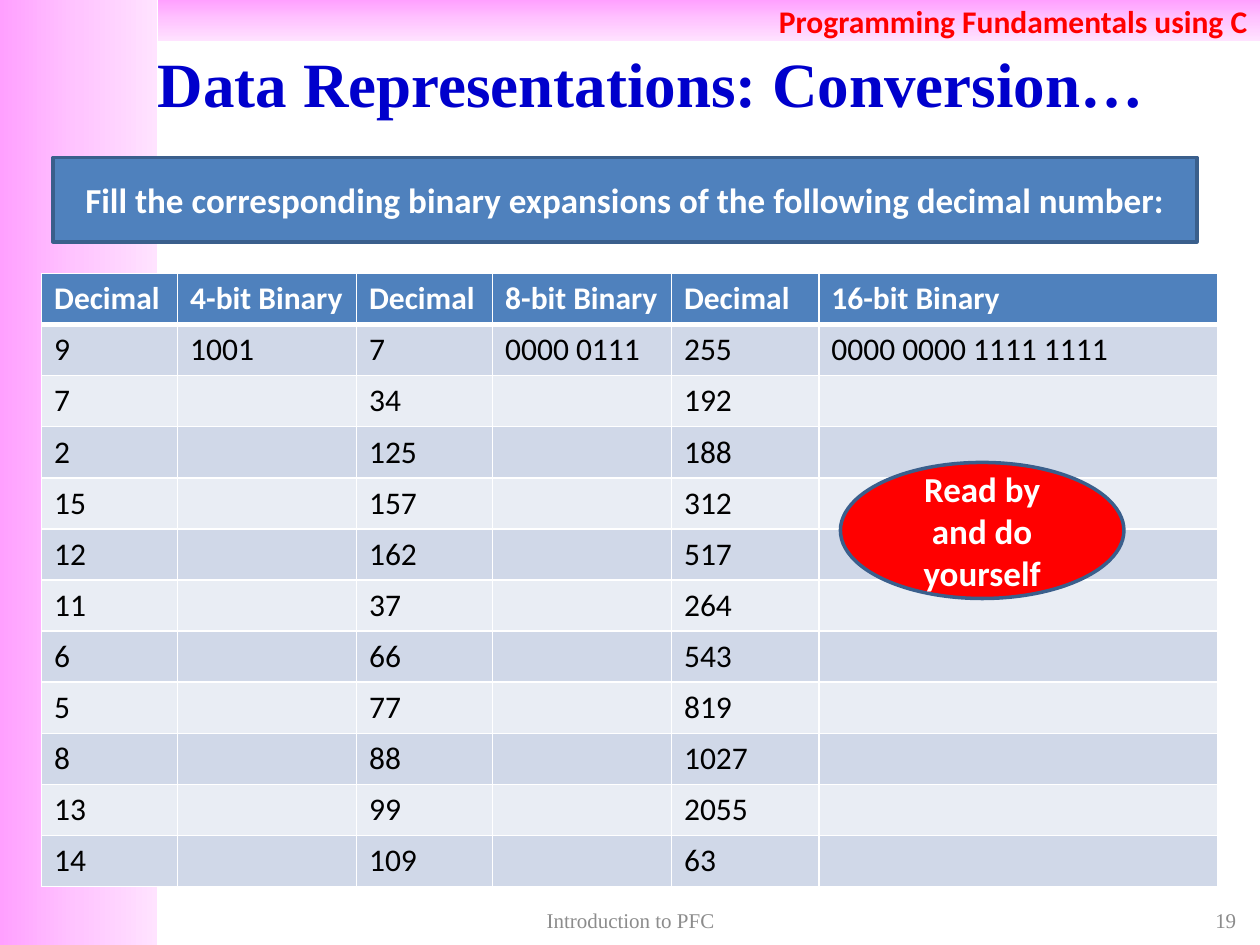
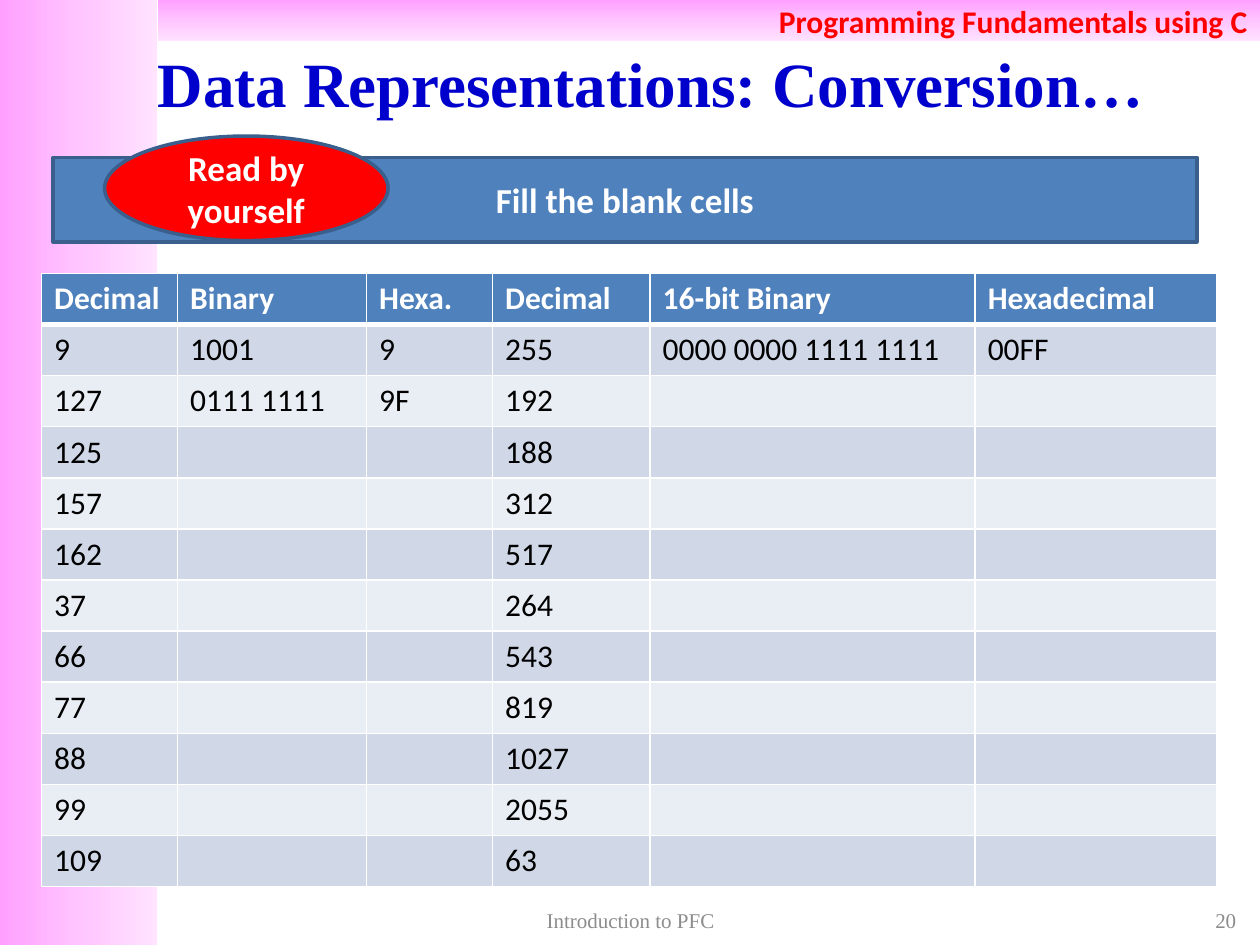
from copy import deepcopy
from itertools import zip_longest

from lxml import etree
from pptx import Presentation
from pptx.dml.color import RGBColor
from pptx.enum.shapes import MSO_SHAPE
from pptx.enum.text import MSO_ANCHOR, PP_ALIGN
from pptx.oxml.ns import qn
from pptx.util import Inches, Pt

RECT, OVAL = MSO_SHAPE.RECTANGLE, MSO_SHAPE.OVAL
LEFT, MID, RIGHT = PP_ALIGN.LEFT, PP_ALIGN.CENTER, PP_ALIGN.RIGHT
CENTER = MSO_ANCHOR.MIDDLE

COLORS = {
    "blue": "4F81BD", "edge": "3A5F8C", "red": "FF0000", "white": "FFFFFF",
    "black": "000000", "navy": "0000CC", "gray": "8C8C8C",
    "odd": "D0D8E8", "even": "E9EDF4",
    "deep": "FFA0FF", "pink": "FFC5FF", "pale": "FFE3FF",
}

# Text formats: font values and a colour name
FORMATS = {
    "title": ({"name": "Times New Roman", "size": Pt(36), "bold": True}, "navy"),
    "foot": ({"name": "Times New Roman", "size": Pt(12), "bold": False}, "gray"),
    "course": ({"name": "Calibri", "size": Pt(18), "bold": True}, "red"),
    "label": ({"name": "Calibri", "size": Pt(20), "bold": True}, "white"),
    "head": ({"name": "Calibri", "size": Pt(18), "bold": True}, "white"),
    "body": ({"name": "Calibri", "size": Pt(18), "bold": False}, "black"),
}

# Number lists used in the exercises
SMALL = "9 7 2 15 12 11 6 5 8 13 14".split()
TAIL = "125 157 162 37 66 77 88 99 109".split()
LARGE = "255 192 188 312 517 264 543 819 1027 2055 63".split()
WORD = ["0000 0000 1111 1111"]

# Each table column: heading, width, values from the top
BITS = [
    ("Decimal", 1.08, SMALL),
    ("4-bit Binary", 1.42, ["1001"]),
    ("Decimal", 1.08, ["7", "34"] + TAIL),
    ("8-bit Binary", 1.42, ["0000 0111"]),
    ("Decimal", 1.17, LARGE),
    ("16-bit Binary", 3.17, WORD),
]
BLANKS = [
    ("Decimal", 1.08, ["9", "127"] + TAIL),
    ("Binary", 1.5, ["1001", "0111 1111"]),
    ("Hexa.", 1, ["9", "9F"]),
    ("Decimal", 1.25, LARGE),
    ("16-bit Binary", 2.58, WORD),
    ("Hexadecimal", 1.92, ["00FF"]),
]


def rgb(name):
    return RGBColor.from_string(COLORS[name])


class Deck:
    def __init__(self):
        self.prs = Presentation()
        self.prs.slide_width, self.prs.slide_height = Inches(10), Inches(7.5)
        self.slide = None

    def text(self, frame, words, style, align):
        para = frame.paragraphs[0]
        para.alignment = align
        run = para.add_run()
        run.text = words
        values, color = FORMATS[style]
        for key, value in values.items():
            setattr(run.font, key, value)
        run.font.color.rgb = rgb(color)

    def center(self, frame, words, style, align):
        frame.word_wrap = True
        frame.vertical_anchor = CENTER
        self.text(frame, words, style, align)

    def shape(self, kind, box):
        shape = self.slide.shapes.add_shape(kind, *map(Inches, box))
        shape.shadow.inherit = False
        return shape

    def label(self, kind, box, fill, words):
        shape = self.shape(kind, box)
        shape.fill.solid()
        shape.fill.fore_color.rgb = rgb(fill)
        shape.line.color.rgb = rgb("edge")
        shape.line.width = Pt(2)
        self.center(shape.text_frame, words, "label", MID)

    def band(self, box, angle):
        shape = self.shape(RECT, box)
        shape.line.fill.background()
        fill = shape.fill
        fill.gradient()
        fill.gradient_angle = angle
        # Add a third stop between the two default ones
        stops = shape.element.spPr.find(".//" + qn("a:gsLst"))
        stops.insert(1, deepcopy(stops[0]))
        for i, color in enumerate(("deep", "pink", "pale")):
            stop = fill.gradient_stops[i]
            stop.position = i / 2
            stop.color.rgb = rgb(color)
        # Send behind the title
        shape.element.getparent().insert(2, shape.element)
        return shape

    def note(self, box, words, align):
        frame = self.slide.shapes.add_textbox(*map(Inches, box)).text_frame
        self.center(frame, words, "foot", align)

    def page(self, title, number):
        self.slide = self.prs.slides.add_slide(self.prs.slide_layouts[5])
        # Bands
        top = self.band((1.25, 0, 8.75, 0.33), 270)
        self.center(top.text_frame, "Programming Fundamentals using C", "course", RIGHT)
        self.band((0, 0, 1.25, 7.5), 0)
        # Title
        head = self.slide.shapes.title
        head.left, head.top, head.width, head.height = map(Inches, (0.83, 0.3, 8.67, 0.7))
        self.center(head.text_frame, title, "title", MID)
        # Footer
        self.note((7.58, 7.17, 2.33, 0.27), str(number), RIGHT)
        self.note((3.42, 7.17, 3.17, 0.27), "Introduction to PFC", MID)

    def border(self, cell, widths):
        props = cell._tc.get_or_add_tcPr()
        for side, width in widths.items():
            line = etree.SubElement(props, qn("a:ln" + side), w=str(Pt(width)))
            fill = etree.SubElement(line, qn("a:solidFill"))
            etree.SubElement(fill, qn("a:srgbClr"), val=COLORS["white"])

    def table(self, cols):
        names, widths, lists = zip(*cols)
        rows = [names, *zip_longest(*lists, fillvalue="")]
        box = map(Inches, (0.33, 2.17, sum(widths), 4.87))
        table = self.slide.shapes.add_table(len(rows), len(cols), *box).table
        for col, width in zip(table.columns, widths):
            col.width = Inches(width)
        for r, row in enumerate(rows):
            fill = "blue" if r == 0 else "odd" if r % 2 else "even"
            edges = {"L": 1, "R": 1, "T": 3 if r == 1 else 1, "B": 3 if r == 0 else 1}
            for c, words in enumerate(row):
                cell = table.cell(r, c)
                self.border(cell, edges)
                cell.fill.solid()
                cell.fill.fore_color.rgb = rgb(fill)
                if words:
                    self.text(cell.text_frame, words, "body" if r else "head", LEFT)


def main():
    deck = Deck()
    title = "Data Representations: Conversion…"
    bar = (0.42, 1.25, 9.08, 0.67)

    # Decimal to binary
    deck.page(title, 19)
    deck.table(BITS)
    deck.label(RECT, bar, "blue",
               "Fill the corresponding binary expansions of the following decimal number:")
    deck.label(OVAL, (6.67, 3.67, 2.25, 1.08), "red", "Read by and do yourself")

    # Binary and hexadecimal
    deck.page(title, 20)
    deck.table(BLANKS)
    deck.label(RECT, bar, "blue", "Fill the blank cells")
    deck.label(OVAL, (0.83, 1.08, 2.25, 0.83), "red", "Read by yourself")

    deck.prs.save("out.pptx")


if __name__ == "__main__":
    main()
